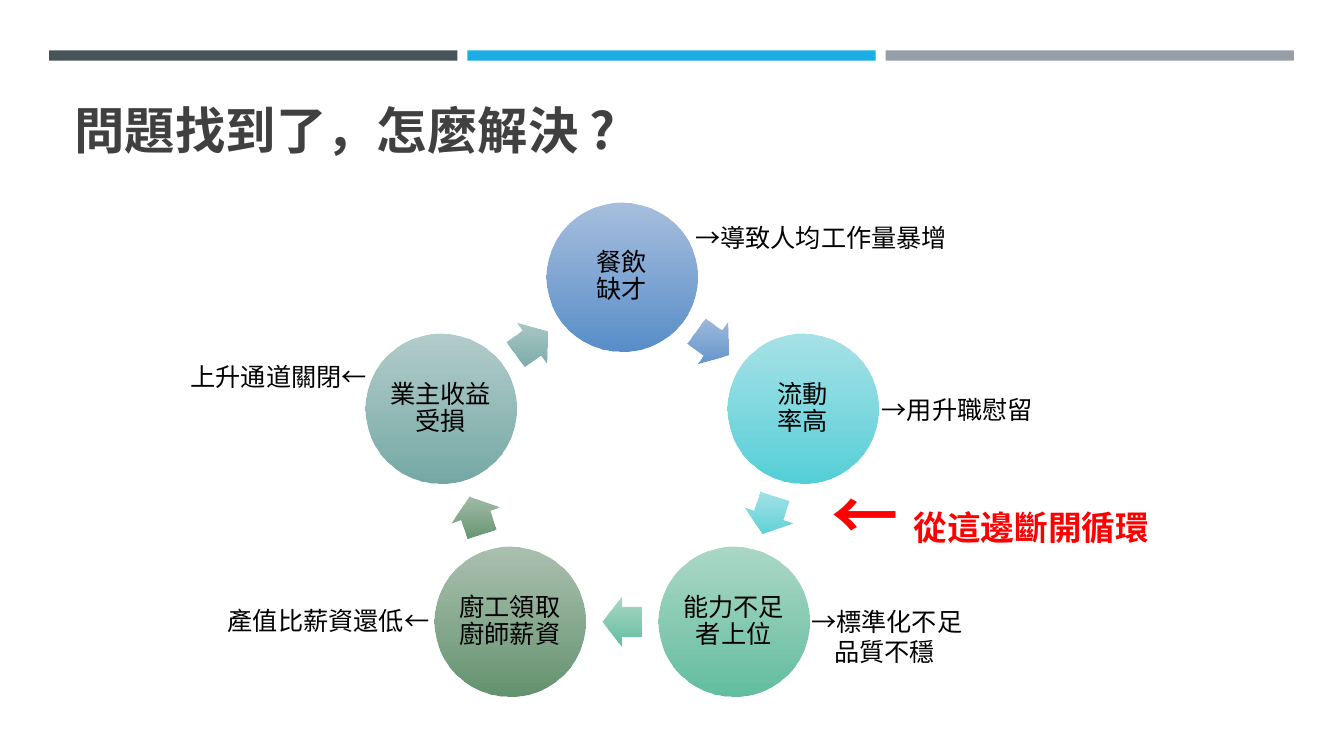
"""Build a slide showing a five-step vicious circle in the restaurant trade."""
import math

from lxml import etree
from pptx import Presentation
from pptx.dml import color
from pptx.enum import shapes, text
from pptx.oxml import ns
from pptx.util import Cm, Pt

RGBColor = color.RGBColor
BLACK = RGBColor(0x00, 0x00, 0x00)
RED = RGBColor(0xFF, 0x00, 0x00)
TITLE_GREY = RGBColor(0x40, 0x40, 0x40)
BAR_COLOURS = [
    RGBColor(0x46, 0x53, 0x59),
    RGBColor(0x1C, 0xAD, 0xE4),
    RGBColor(0x96, 0x9F, 0xA7),
]
LATIN, ARIAL, CJK = "Karla", "Arial", "Noto Sans CJK TC"
RING_X, RING_Y, RING_RADIUS = 15.67, 11.78, 4.8
STEPS = [
    ("餐飲\n缺才", RGBColor(0x9D, 0xB7, 0xDA), RGBColor(0x57, 0x8E, 0xC9)),
    ("流動\n率高", RGBColor(0x9D, 0xDF, 0xE5), RGBColor(0x55, 0xD0, 0xD8)),
    ("能力不足者上位", RGBColor(0xA2, 0xD3, 0xC0), RGBColor(0x62, 0xBE, 0x9F)),
    ("廚工領取廚師薪資", RGBColor(0xA1, 0xB9, 0xA6), RGBColor(0x64, 0x93, 0x6F)),
    ("業主收益受損", RGBColor(0xAA, 0xC7, 0xC5), RGBColor(0x75, 0xA9, 0xA6)),
]


def apply_formats(target, formats):
    """Set every named attribute on the target."""
    for name, value in formats.items():
        setattr(target, name, value)


def add_span(para, words, size=18, font=LATIN, colour=BLACK, bold=False):
    """Add formatted words to a paragraph, breaking at line ends."""
    for index, line in enumerate(words.split("\n")):
        if index:
            para.add_line_break()
        span = para.add_run()
        span.text = line
        apply_formats(span.font, {"size": Pt(size), "name": font, "bold": bold})
        span.font.color.rgb = colour
        east_asian = etree.SubElement(span.font._element, ns.qn("a:ea"))
        east_asian.set("typeface", CJK)


def add_text(page, left, top, width, height, spans, anchor=text.MSO_ANCHOR.TOP, hanging=0):
    """Add a wrapping text box made of formatted spans."""
    box = page.shapes.add_textbox(Cm(left), Cm(top), Cm(width), Cm(height))
    apply_formats(box.text_frame, {"word_wrap": True, "vertical_anchor": anchor})
    para = box.text_frame.paragraphs[0]
    if hanging:
        properties = para._p.get_or_add_pPr()
        properties.set("marL", str(Cm(hanging)))
        properties.set("indent", str(-Cm(hanging)))
    for words, formats in spans:
        add_span(para, words, **formats)


def add_plain_shape(page, kind, left, top, width, height):
    """Add a preset shape without outline or shadow."""
    shape = page.shapes.add_shape(kind, Cm(left), Cm(top), Cm(width), Cm(height))
    shape.shadow.inherit = False
    shape.line.fill.background()
    return shape


def fill_gradient(shape, light, dark):
    """Shade a shape from light at the top to dark at the bottom."""
    shape.fill.gradient()
    shape.fill.gradient_angle = 270
    for stop, colour in zip(shape.fill.gradient_stops, (light, dark)):
        stop.color.rgb = colour
    gradient = shape._element.spPr.find(ns.qn("a:gradFill"))
    gradient.set("rotWithShape", "0")
    first_colour = next(gradient.iter(ns.qn("a:srgbClr")))
    etree.SubElement(first_colour, ns.qn("a:alpha")).set("val", "90000")


def ring_point(position, radius):
    """Return the point on the ring at a position counted in steps."""
    angle = math.tau * position / len(STEPS)
    return RING_X + radius * math.sin(angle), RING_Y - radius * math.cos(angle)


def add_step(page, position, label, light, dark):
    """Add a labelled circle of the cycle."""
    width, height = 3.81, 3.76
    x, y = ring_point(position, RING_RADIUS)
    circle = add_plain_shape(
        page, shapes.MSO_SHAPE.OVAL, x - width / 2, y - height / 2, width, height
    )
    fill_gradient(circle, light, dark)
    margins = {f"margin_{side}": Cm(0.05) for side in ("left", "right", "top", "bottom")}
    frame_formats = {"word_wrap": True, "vertical_anchor": text.MSO_ANCHOR.MIDDLE}
    apply_formats(circle.text_frame, {**margins, **frame_formats})
    para = circle.text_frame.paragraphs[0]
    apply_formats(para, {"alignment": text.PP_ALIGN.CENTER, "line_spacing": 0.9})
    add_span(para, label)


def add_step_arrow(page, position, light, dark):
    """Add the block arrow that leads on from a circle."""
    width, height = 0.99, 1.27
    middle = position + 0.5
    x, y = ring_point(middle, RING_RADIUS * math.cos(math.pi / len(STEPS)))
    arrow = add_plain_shape(
        page, shapes.MSO_SHAPE.RIGHT_ARROW, x - width / 2, y - height / 2, width, height
    )
    arrow.adjustments[0] = 0.6
    arrow.adjustments[1] = 0.5
    arrow.rotation = 360 / len(STEPS) * middle
    fill_gradient(arrow, light, dark)


def add_bars(page):
    """Add the row of coloured bars at the top."""
    for index, colour in enumerate(BAR_COLOURS):
        bar = add_plain_shape(
            page, shapes.MSO_SHAPE.RECTANGLE, 1.24 + 10.54 * index, 1.27, 10.29, 0.26
        )
        bar.fill.solid()
        bar.fill.fore_color.rgb = colour


def add_notes_around(page):
    """Add the remarks beside the circles."""
    add_text(page, 17.27, 5.49, 7.44, 1.02, [("→導致人均工作量暴增", {})])
    add_text(page, 21.97, 9.8, 4.52, 1.02, [("→用升職慰留", {})])
    add_text(page, 20.19, 15.16, 4.37, 1.8, [("→標準化不足\n品質不穩", {})], hanging=0.58)
    add_text(page, 5.49, 15.14, 5.61, 1.02, [("產值比薪資還低←", {})])
    add_text(page, 4.55, 8.97, 5.05, 1.02, [("上升通道關閉", {"font": ARIAL}), ("←", {})])
    alert = {"colour": RED, "bold": True}
    breaking_point = [("← ", {"size": 48, **alert}), ("從這邊斷開循環", {"size": 24, **alert})]
    add_text(page, 20.7, 11.81, 9.58, 2.31, breaking_point)


def main():
    """Build and save the slide."""
    deck = Presentation()
    apply_formats(deck, {"slide_width": Cm(33.87), "slide_height": Cm(19.05)})
    page = deck.slides.add_slide(deck.slide_layouts[6])
    add_bars(page)
    title = {"size": 36, "font": CJK, "colour": TITLE_GREY, "bold": True}
    add_text(
        page, 1.63, 1.96, 30.63, 2.18,
        [("問題找到了，怎麼解決 ?", title)], text.MSO_ANCHOR.BOTTOM,
    )
    for position, (label, light, dark) in enumerate(STEPS):
        add_step(page, position, label, light, dark)
        add_step_arrow(page, position, light, dark)
    add_notes_around(page)
    deck.save("out.pptx")


if __name__ == "__main__":
    main()
